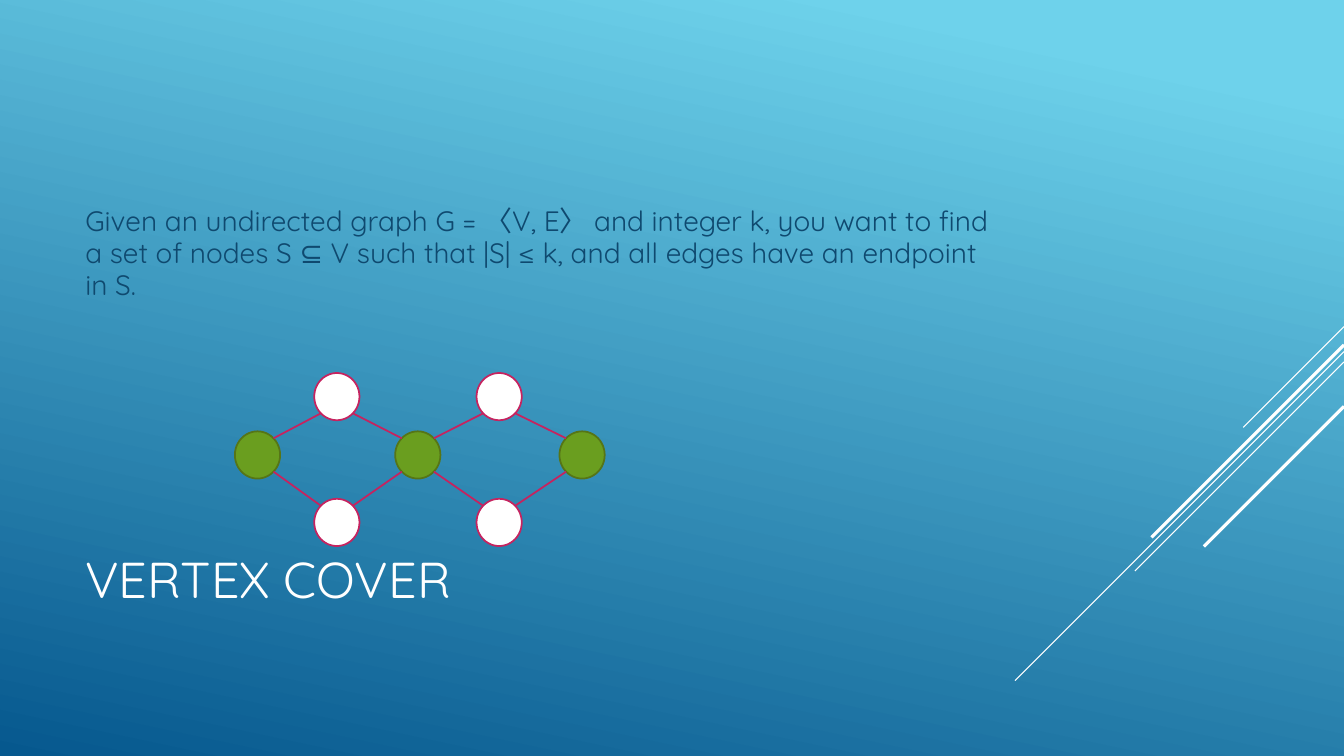
from math import copysign, sqrt

from lxml import etree
from pptx import Presentation
from pptx.dml.color import RGBColor
from pptx.enum.shapes import MSO_CONNECTOR, MSO_SHAPE
from pptx.enum.text import MSO_ANCHOR, PP_ALIGN
from pptx.oxml.ns import qn
from pptx.util import Cm, Pt

STRAIGHT = MSO_CONNECTOR.STRAIGHT
OVAL = MSO_SHAPE.OVAL
MIDDLE = MSO_ANCHOR.MIDDLE
LEFT = PP_ALIGN.LEFT

WHITE = RGBColor(0xFF, 0xFF, 0xFF)
SKY = RGBColor(0x6E, 0xD2, 0xEB)
DEEP_BLUE = RGBColor(0x06, 0x58, 0x8E)
NAVY = RGBColor(0x0F, 0x49, 0x6F)
GREEN = RGBColor(0x6A, 0x9E, 0x1F)
DARK_GREEN = RGBColor(0x56, 0x75, 0x17)
CRIMSON = RGBColor(0xC6, 0x23, 0x5F)

FONT = "Quicksand"
TITLE_TEXT = "VERTEX COVER"
BODY_TEXT = (
    "Given an undirected graph G = 〈V, E〉 and integer k, you want to find a set "
    "of nodes S ⊆ V such that |S| ≤ k, and all edges have an endpoint in S."
)

# All lengths below are centimetres.
SLIDE_WIDTH, SLIDE_HEIGHT = 33.87, 19.05
TEXT_LEFT, TEXT_WIDTH = 1.9, 23.7
NODE_WIDTH, NODE_HEIGHT = 1.14, 1.19
GRAPH_LINE = 1.25

# Top-left corner of each node and whether it belongs to the cover.
UPPER, CENTRE, LOWER = 9.4, 10.87, 12.57
NODES = {
    "west": (5.92, CENTRE, True),
    "upper left": (7.92, UPPER, False),
    "lower left": (7.92, LOWER, False),
    "hub": (9.96, CENTRE, True),
    "upper right": (12.01, UPPER, False),
    "lower right": (12.01, LOWER, False),
    "east": (14.1, CENTRE, True),
}
# Each diamond joins its two side nodes through an upper and a lower node.
DIAMONDS = [
    ("west", "upper left", "lower left", "hub"),
    ("hub", "upper right", "lower right", "east"),
]
# Diagonals from the right edge: height at the edge, run, line width.
DIAGONALS = [
    (8.23, 2.54, 0.75),
    (8.86, 8.29, 0.75),
    (9.12, 5.27, 0.75),
    (8.69, 4.85, 2.25),
    (10.24, 3.53, 2.25),
]


def paint_background(slide):
    fill = slide.background.fill
    fill.gradient()
    fill.gradient_angle = 258
    for stop, position, color in zip(fill.gradient_stops, (0.1, 1), (SKY, DEEP_BLUE)):
        stop.position = position
        stop.color.rgb = color


def add_line(slide, start, end, color, width):
    line = slide.shapes.add_connector(STRAIGHT, *map(Cm, start + end))
    line.line.color.rgb = color
    line.line.width = Pt(width)
    etree.SubElement(line.element.spPr, qn("a:effectLst"))


def place(box, top, height):
    box.left, box.top = Cm(TEXT_LEFT), Cm(top)
    box.width, box.height = Cm(TEXT_WIDTH), Cm(height)


def write(box, text, size, color):
    frame = box.text_frame
    frame.word_wrap = True
    frame.vertical_anchor = MIDDLE
    para = frame.paragraphs[0]
    para.alignment = LEFT
    span = para.add_run()
    span.text = text
    span.font.name = FONT
    span.font.size = Pt(size)
    span.font.color.rgb = color
    return para


def add_title(slide):
    title = slide.shapes.title
    place(title, 12.47, 4.19)
    write(title, TITLE_TEXT, 36, WHITE)


def add_body(slide):
    box = slide.shapes.add_textbox(0, 0, 0, 0)
    place(box, 1.9, 10.03)
    para = write(box, BODY_TEXT, 20, NAVY)
    para.line_spacing = 0.95
    box.text_frame.margin_bottom = Cm(1.14)


def add_node(slide, left, top, in_cover):
    node = slide.shapes.add_shape(
        OVAL, Cm(left), Cm(top), Cm(NODE_WIDTH), Cm(NODE_HEIGHT)
    )
    node.shadow.inherit = False
    node.fill.solid()
    node.fill.fore_color.rgb = GREEN if in_cover else WHITE
    node.line.color.rgb = DARK_GREEN if in_cover else CRIMSON
    node.line.width = Pt(GRAPH_LINE)


def rim_point(name, side, rise):
    """Return the diagonal point of a node's rim; the signs pick the quadrant."""
    left, top, _ = NODES[name]
    x = left + NODE_WIDTH / 2 * (1 + copysign(1 / sqrt(2), side))
    y = top + NODE_HEIGHT / 2 * (1 + copysign(1 / sqrt(2), rise))
    return x, y


def add_edge(slide, first, second):
    slope = NODES[second][1] - NODES[first][1]
    start = rim_point(first, 1, slope)
    end = rim_point(second, -1, -slope)
    add_line(slide, start, end, CRIMSON, GRAPH_LINE)


def add_graph(slide):
    for node in NODES.values():
        add_node(slide, *node)
    for left_node, upper, lower, right_node in DIAMONDS:
        for between in (upper, lower):
            add_edge(slide, left_node, between)
            add_edge(slide, between, right_node)


def main():
    deck = Presentation()
    deck.slide_width, deck.slide_height = Cm(SLIDE_WIDTH), Cm(SLIDE_HEIGHT)
    slide = deck.slides.add_slide(deck.slide_layouts[5])
    paint_background(slide)
    for top, run, width in DIAGONALS:
        end = (SLIDE_WIDTH - run, top + run)
        add_line(slide, (SLIDE_WIDTH, top), end, WHITE, width)
    add_title(slide)
    add_body(slide)
    add_graph(slide)
    deck.save("out.pptx")


if __name__ == "__main__":
    main()
